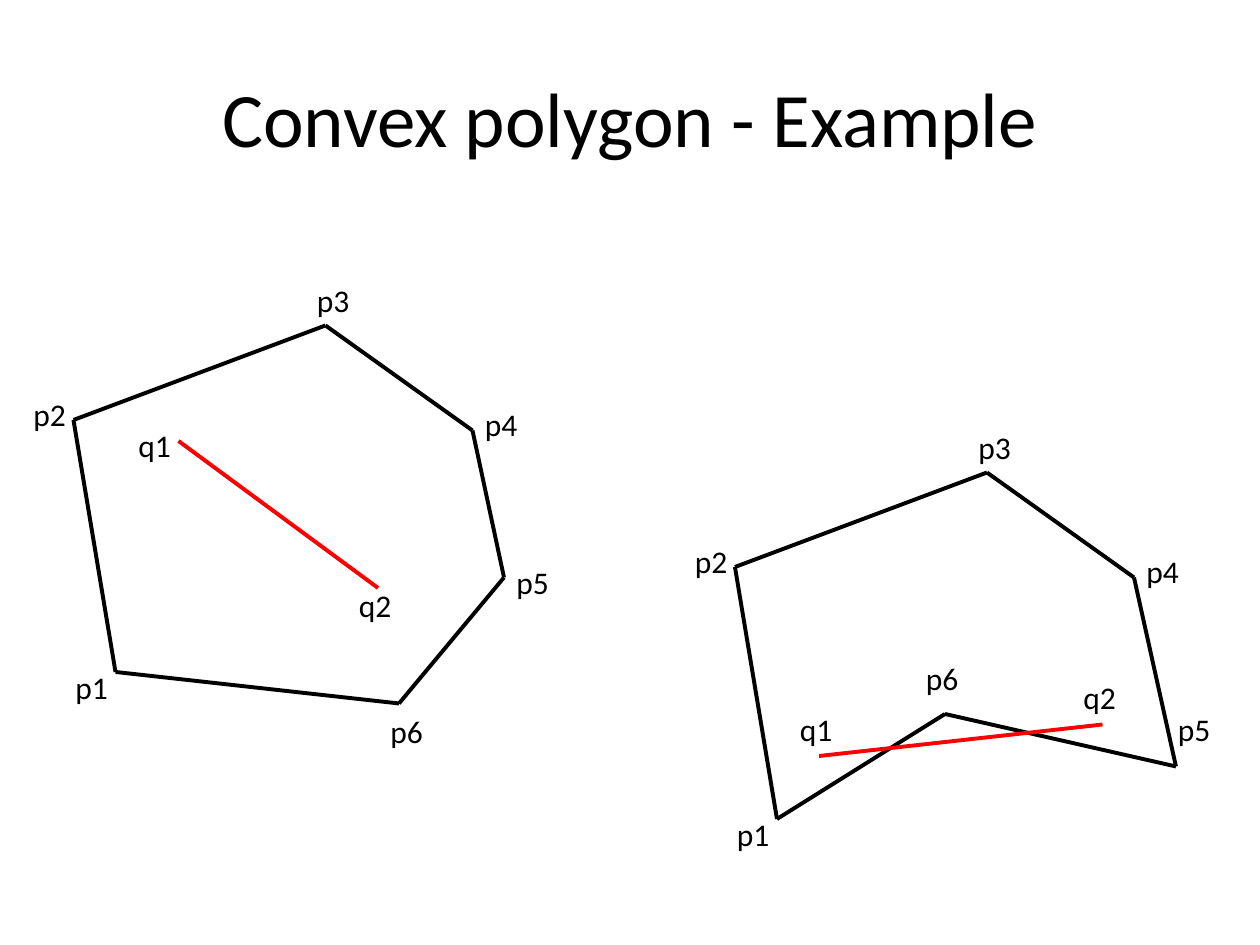
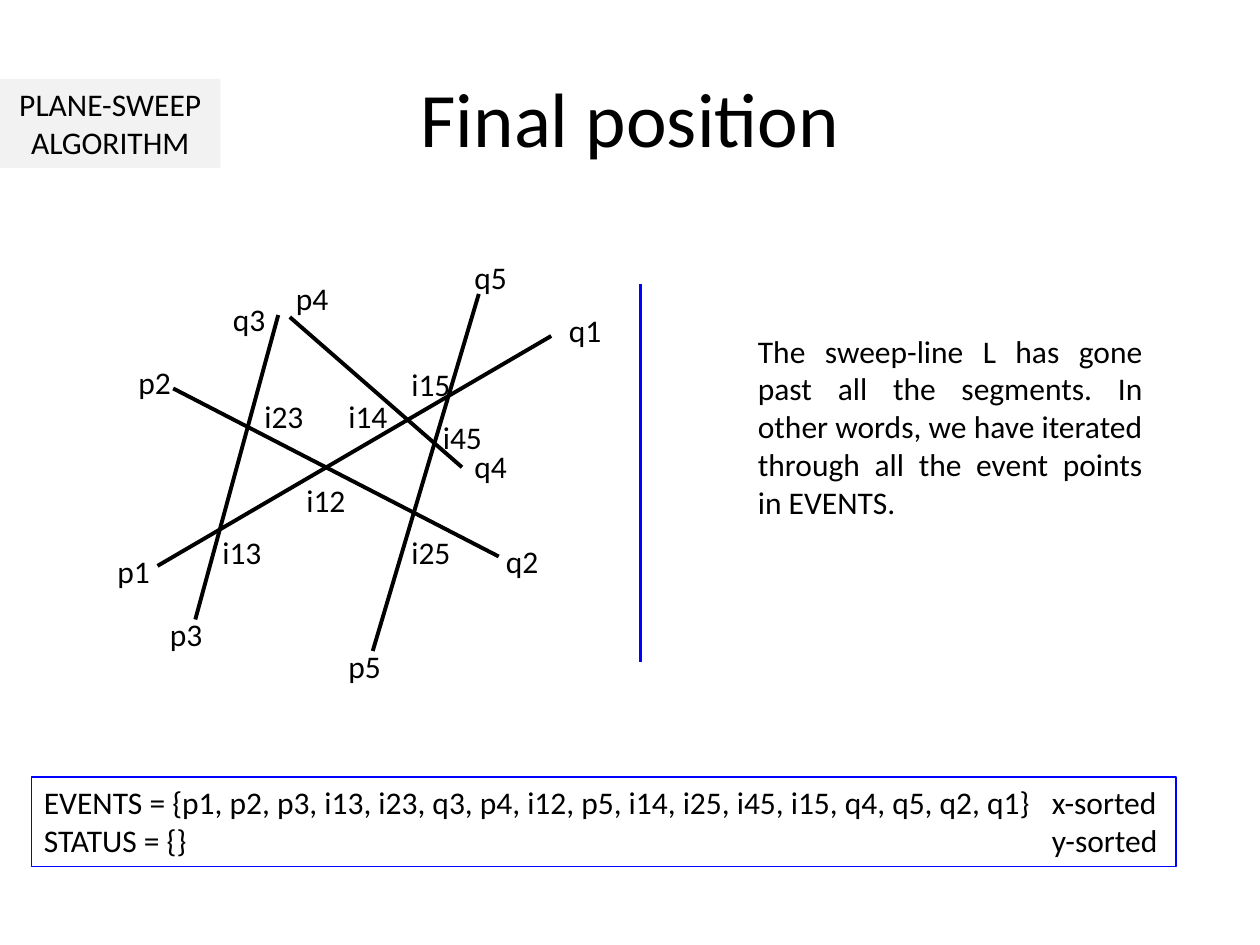
from lxml.etree import SubElement
from pptx import Presentation
from pptx.dml.color import RGBColor
from pptx.enum.shapes import MSO_CONNECTOR, MSO_SHAPE
from pptx.enum.text import MSO_ANCHOR, PP_ALIGN
from pptx.oxml.ns import qn
from pptx.util import Inches, Pt

COLS, ROWS = 120, 90  # grid of twelfths of an inch
WIDTH, HEIGHT = Inches(10), Inches(7.5)
BLACK, RED, BLUE, GREY = "000000", "FF0000", "0000FF", "F2F2F2"


def color(hex_code):
    return RGBColor.from_string(hex_code)


def x(col):
    return round(WIDTH * col / COLS)


def y(row):
    return round(HEIGHT * row / ROWS)


def write(sp, text, size=18, align=PP_ALIGN.LEFT, anchor=MSO_ANCHOR.TOP, tab=None):
    """Fill a shape with one paragraph per line; tab is a stop in columns."""
    tf = sp.text_frame
    tf.word_wrap = True
    tf.vertical_anchor = anchor
    for i, line in enumerate(text.split("\n")):
        p = tf.add_paragraph() if i else tf.paragraphs[0]
        p.alignment = align
        if tab:
            stops = SubElement(p._p.get_or_add_pPr(), qn("a:tabLst"))
            SubElement(stops, qn("a:tab"), pos=str(x(tab)), algn="l")
        r = p.add_run()
        r.text = line
        r.font.name = "Calibri"
        r.font.size = Pt(size)
        r.font.color.rgb = color(BLACK)


class Deck:
    def __init__(self, prs):
        self.prs = prs
        self.s = None

    def slide(self, title):
        self.s = self.prs.slides.add_slide(self.prs.slide_layouts[6])
        self.text((6, 3.6, 108, 15), title, size=44,
                  align=PP_ALIGN.CENTER, anchor=MSO_ANCHOR.MIDDLE)

    def text(self, box, text, **fmt):
        left, top, width, height = box
        sp = self.s.shapes.add_textbox(x(left), y(top), x(width), y(height))
        write(sp, text, **fmt)

    def label(self, name, at):
        width = 7 if name.startswith("i") else 6
        self.text((*at, width, 4.8), name)

    def line(self, start, end, stroke=BLACK):
        c = self.s.shapes.add_connector(
            MSO_CONNECTOR.STRAIGHT, x(start[0]), y(start[1]), x(end[0]), y(end[1]))
        c.line.color.rgb = color(stroke)
        c.line.width = Pt(2.25)
        SubElement(c._element.spPr, qn("a:effectLst"))

    def panel(self, box, text, fill=None, stroke=None, **fmt):
        left, top, width, height = box
        sp = self.s.shapes.add_shape(
            MSO_SHAPE.RECTANGLE, x(left), y(top), x(width), y(height))
        sp.shadow.inherit = False
        if fill:
            sp.fill.solid()
            sp.fill.fore_color.rgb = color(fill)
        else:
            sp.fill.background()
        if stroke:
            sp.line.color.rgb = color(stroke)
            sp.line.width = Pt(0.75)
        else:
            sp.line.fill.background()
        write(sp, text, **fmt)

    def polygon(self, corners, chord):
        """Draw the closed outline, the inner segment and all point names."""
        points = [point for point, _ in corners.values()]
        for start, end in zip(points, points[1:] + points[:1]):
            self.line(start, end)
        self.line(*(point for point, _ in chord.values()), stroke=RED)
        for name, (_, at) in {**corners, **chord}.items():
            self.label(name, at)


# Each point: (position, label position), in columns and rows
SHARED_CORNERS = {
    "p1": ((11, 64), (6, 63)),
    "p2": ((7, 40), (2, 37)),
    "p3": ((31, 31), (29, 26.2)),
    "p4": ((45, 41), (45, 38)),
}
CONVEX_REST = {"p5": ((48, 55), (48, 53)), "p6": ((38, 67), (36, 67.2))}
CONVEX_CHORD = {"q1": ((17, 42), (12, 40)), "q2": ((36, 56), (33, 55.2))}
CONCAVE_REST = {"p5": ((112, 73), (111, 67)), "p6": ((90, 68), (87, 62.2))}
CONCAVE_CHORD = {"q1": ((78, 72), (75, 67)), "q2": ((105, 69), (102, 64))}
CONCAVE_SHIFT = (63, 14)

# Segment i runs from p_i to q_i
SEGMENTS = [
    (((15, 53.9), (10, 52)), ((52.5, 32), (53, 29))),
    (((16.5, 37), (12, 34)), ((47.5, 53), (47, 51))),
    (((18.6, 59), (15, 58)), ((26.5, 30), (21, 28))),
    (((27.6, 30.2), (27, 26)), ((44, 44.5), (44, 42))),
    (((35.5, 62), (32, 61)), ((45.6, 28), (44, 24))),
]
CROSSINGS = {
    "i23": (24, 37.2), "i12": (28, 45.2), "i13": (20, 50.2), "i14": (32, 37.2),
    "i25": (38, 50.2), "i45": (41, 39.2), "i15": (38, 34.2),
}


def shifted(point):
    return tuple(a + d for a, d in zip(point, CONCAVE_SHIFT))


def convex_slide(deck):
    deck.slide("Convex polygon - Example")
    deck.polygon({**SHARED_CORNERS, **CONVEX_REST}, CONVEX_CHORD)
    moved = {name: tuple(map(shifted, pair)) for name, pair in SHARED_CORNERS.items()}
    deck.polygon({**moved, **CONCAVE_REST}, CONCAVE_CHORD)


def sweep_slide(deck):
    deck.slide("Final position")
    deck.panel((0, 7.5, 21, 8.5), "PLANE-SWEEP\nALGORITHM", fill=GREY,
               align=PP_ALIGN.CENTER)

    # Segments, their crossings and the sweep line
    for i, ((p, p_label), (q, q_label)) in enumerate(SEGMENTS, 1):
        deck.line(p, q)
        deck.label(f"p{i}", p_label)
        deck.label(f"q{i}", q_label)
    for name, at in CROSSINGS.items():
        deck.label(name, at)
    deck.line((61, 27), (61, 63), stroke=BLUE)

    # Explanation and state of the two lists
    deck.text((71, 31, 39, 19.4),
              "The sweep-line L has gone past all the segments. In other words, "
              "we have iterated through all the event points in EVENTS.",
              align=PP_ALIGN.JUSTIFY)
    deck.panel((3, 74, 109, 8.5),
               "EVENTS = {p1, p2, p3, i13, i23, q3, p4, i12, p5, i14, i25, i45, "
               "i15, q4, q5, q2, q1}\tx-sorted\nSTATUS = {}\ty-sorted",
               stroke=BLUE, tab=96)


def main():
    prs = Presentation()
    prs.slide_width, prs.slide_height = WIDTH, HEIGHT
    deck = Deck(prs)
    convex_slide(deck)
    sweep_slide(deck)
    prs.save("out.pptx")


if __name__ == "__main__":
    main()
